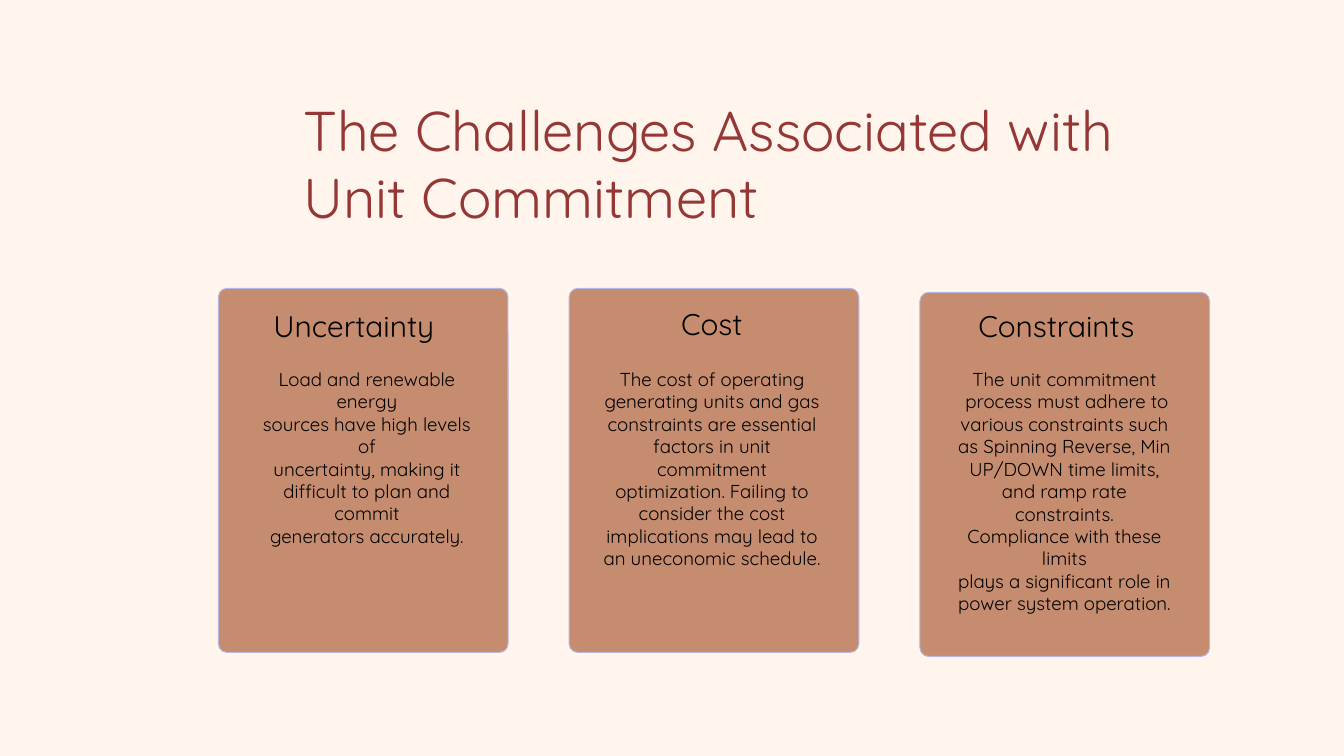
"""Build the slide on the challenges of unit commitment."""
from pptx import Presentation
from pptx.dml.color import RGBColor
from pptx.enum import shapes, text
from pptx.util import Pt

CREAM = RGBColor(0xFF, 0xF5, 0xEC)
CLAY = RGBColor(0xC5, 0x8C, 0x6F)
LAVENDER = RGBColor(0xB5, 0xB7, 0xE3)
MAROON = RGBColor(0x95, 0x37, 0x35)
BLACK = RGBColor(0, 0, 0)
LEFT, CENTER = text.PP_ALIGN.LEFT, text.PP_ALIGN.CENTER

CARD_LEFT, CARD_STEP = 234, 375.84
CARD_WIDTH, CARD_HEIGHT = 310.3, 390.2
BODY_TOP = 390.6

CARDS = [
    {
        "top": 308.9,
        "heading": "Uncertainty",
        "heading_box": (285.8, 337, 200, 27.4),
        "align": LEFT,
        "spacing": Pt(27.3),
        "body_box": (270.3, BODY_TOP, 245.5, 259.2),
        "body": [
            "Load and renewable energy",
            "sources have high levels of",
            "uncertainty, making it",
            "difficult to plan and commit",
            "generators accurately.",
        ],
    },
    {
        "top": 308.9,
        "heading": "Cost",
        "heading_box": (660.4, 334.8, 204.5, 34.6),
        "align": CENTER,
        "spacing": Pt(27.3),
        "body_box": (632.2, BODY_TOP, 261.4, 259.2),
        "body": [
            "The cost of operating",
            "generating units and gas constraints are essential",
            "factors in unit commitment",
            "optimization. Failing to",
            "consider the cost",
            "implications may lead to an uneconomic schedule.",
        ],
    },
    {
        "top": 313.2,
        "heading": "Constraints",
        "heading_box": (1041.1, 326.4, 256.3, 56.9),
        "align": LEFT,
        "spacing": None,
        "body_box": (1012.3, BODY_TOP, 256.3, 294.5),
        "body": [
            "The unit commitment",
            " process must adhere to",
            "various constraints such as Spinning Reverse, Min UP/DOWN time limits, "
            "and ramp rate constraints.",
            "Compliance with these limits",
            "plays a significant role in",
            "power system operation.",
        ],
    },
]

presentation = Presentation()
presentation.slide_width, presentation.slide_height = Pt(1440), Pt(810)
slide = presentation.slides.add_slide(presentation.slide_layouts[6])
slide.background.fill.solid()
slide.background.fill.fore_color.rgb = CREAM


def add_text(box, lines, size, color=BLACK, align=LEFT, spacing=None):
    frame = slide.shapes.add_textbox(*map(Pt, box)).text_frame
    frame.word_wrap = True
    for index, line in enumerate(lines):
        paragraph = frame.add_paragraph() if index else frame.paragraphs[0]
        paragraph.alignment = align
        paragraph.line_spacing = spacing
        run = paragraph.add_run()
        run.text = line
        run.font.name = "Quicksand"
        run.font.size = Pt(size)
        run.font.color.rgb = color


add_text((317.9, 98.6, 890, 203), ["The Challenges Associated with Unit Commitment"], 60, MAROON)

for column, card in enumerate(CARDS):
    panel = slide.shapes.add_shape(
        shapes.MSO_SHAPE.ROUNDED_RECTANGLE,
        Pt(CARD_LEFT + column * CARD_STEP), Pt(card["top"]), Pt(CARD_WIDTH), Pt(CARD_HEIGHT),
    )
    panel.adjustments[0] = 0.03
    panel.shadow.inherit = False
    panel.fill.solid()
    panel.fill.fore_color.rgb = CLAY
    panel.line.color.rgb = LAVENDER
    panel.line.width = Pt(1.09)
    add_text(card["heading_box"], [card["heading"]], 32,
             align=card["align"], spacing=card["spacing"])
    add_text(card["body_box"], card["body"], 20, align=CENTER)

presentation.save("out.pptx")
